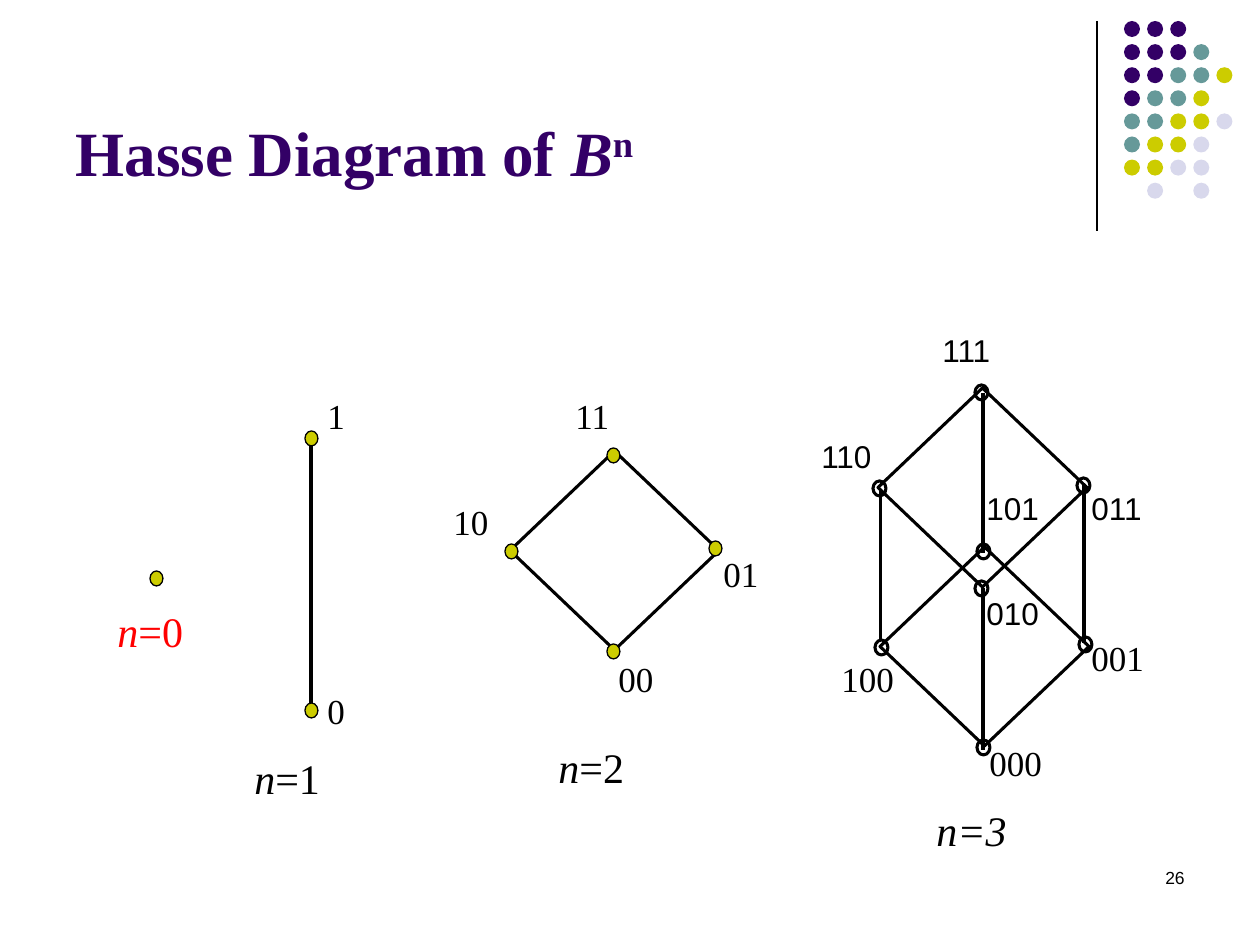
from lxml.etree import SubElement
from pptx import Presentation
from pptx.dml.color import RGBColor
from pptx.enum.shapes import MSO_CONNECTOR, MSO_SHAPE
from pptx.enum.text import MSO_ANCHOR, MSO_AUTO_SIZE, PP_ALIGN
from pptx.oxml.ns import qn
from pptx.util import Emu, Pt

BLACK = RGBColor(0x00, 0x00, 0x00)
RED = RGBColor(0xFF, 0x00, 0x00)
PURPLE = RGBColor(0x33, 0x00, 0x66)
TEAL = RGBColor(0x66, 0x99, 0x99)
YELLOW = RGBColor(0xCC, 0xCC, 0x00)
LAVENDER = RGBColor(0xD8, 0xD8, 0xEC)

SERIF = "Times New Roman"
THIN, THICK = 0.75, 1.75
NODE_SIZE = (13, 15)
DIAMOND_SIZE = (209, 199)
DIAMOND_NODES = [(97, -3), (-5, 93), (199, 90), (97, 193)]

DOT_ROWS = ["PPP", "PPPT", "PPTTY", "PTTY", "TTYYL", "TYYL", "YYLL", " L L"]
DOT_COLORS = {"P": PURPLE, "T": TEAL, "Y": YELLOW, "L": LAVENDER}
DOT_PITCH, DOT_SIZE = 23.1, 16

EDGES = [
    (311, 438, 311, 713),
    (983, 588, 983, 750),
    (1084, 485, 1084, 643),
    (881, 491, 881, 641),
    (983, 393, 983, 553),
]
SINGLE_NODES = [(305, 431), (150, 571), (305, 703)]

SERIF_LABELS = [
    ("001", 1079, 630, 87), ("100", 829, 651, 84), ("000", 977, 735, 95),
    ("11", 563, 388, 227), ("10", 441, 494, 227), ("01", 711, 546, 87),
    ("00", 606, 651, 87), ("0", 315, 683, 84), ("1", 315, 388, 84),
]
SANS_LABELS = [
    ("111", 930, 325, 227), ("110", 809, 431, 227), ("011", 1079, 483, 87),
    ("101", 974, 483, 105), ("010", 974, 588, 87),
]
# Italic part, upright part, left, top, width, colour
CAPTIONS = [
    ("n", "=0", 105, 599, 116, RED),
    ("n", "=1", 242, 746, 252, BLACK),
    ("n", "=2", 546, 735, 147, BLACK),
    ("n=3", "", 924, 798, 210, BLACK),
]


def px(value):
    return Emu(round(value * 914400 / 126))


def add_line(slide, ends, width):
    line = slide.shapes.add_connector(MSO_CONNECTOR.STRAIGHT, *map(px, ends))
    line.line.color.rgb = BLACK
    line.line.width = Pt(width)
    SubElement(line._element.spPr, qn("a:effectLst"))


def add_outline(slide, kind, left, top, size, fill=None, width=None):
    """Add a preset shape; no fill or no line when that value is None."""
    shape = slide.shapes.add_shape(kind, *map(px, (left, top, *size)))
    shape.shadow.inherit = False
    if fill is None:
        shape.fill.background()
    else:
        shape.fill.solid()
        shape.fill.fore_color.rgb = fill
    if width is None:
        shape.line.fill.background()
    else:
        shape.line.color.rgb = BLACK
        shape.line.width = Pt(width)


def add_run(paragraph, text, color, **formats):
    run = paragraph.add_run()
    run.text = text
    run.font.color.rgb = color
    for name, value in formats.items():
        setattr(run.font, name, value)
    return run


def add_text_box(slide, left, top, width, height):
    """Add an empty wrapping text box and return its first paragraph."""
    frame = slide.shapes.add_textbox(*map(px, (left, top, width, height))).text_frame
    frame.word_wrap = True
    return frame.paragraphs[0]


def add_labels(slide, labels, height, **formats):
    for text, left, top, width in labels:
        paragraph = add_text_box(slide, left, top, width, height)
        add_run(paragraph, text, BLACK, **formats)


def add_captions(slide):
    formats = {"size": Pt(24), "name": SERIF}
    for italic, upright, left, top, width, color in CAPTIONS:
        paragraph = add_text_box(slide, left, top, width, 63)
        add_run(paragraph, italic, color, italic=True, **formats)
        if upright:
            add_run(paragraph, upright, color, **formats)


def add_dot_pattern(slide):
    for row, letters in enumerate(DOT_ROWS):
        for column, letter in enumerate(letters):
            if letter in DOT_COLORS:
                add_outline(slide, MSO_SHAPE.OVAL, 1124 + column * DOT_PITCH,
                            21 + row * DOT_PITCH, (DOT_SIZE, DOT_SIZE),
                            fill=DOT_COLORS[letter])


def add_diamond(slide, left, top, node_fill=None, node_line=THICK):
    """Add a diamond with a node on each of its corners."""
    add_outline(slide, MSO_SHAPE.DIAMOND, left, top, DIAMOND_SIZE, width=THICK)
    for x, y in DIAMOND_NODES:
        add_outline(slide, MSO_SHAPE.OVAL, left + x, top + y, NODE_SIZE,
                    node_fill, node_line)


def format_title(slide):
    title = slide.shapes.title
    title.left, title.top, title.width, title.height = map(px, (63, 16, 1040, 179))
    frame = title.text_frame
    frame.auto_size = MSO_AUTO_SIZE.NONE
    frame.vertical_anchor = MSO_ANCHOR.BOTTOM
    paragraph = frame.paragraphs[0]
    paragraph.alignment = PP_ALIGN.LEFT
    formats = {"size": Pt(36), "name": SERIF, "bold": True}
    add_run(paragraph, "Hasse Diagram of ", PURPLE, **formats)
    add_run(paragraph, "B", PURPLE, italic=True, **formats)
    exponent = add_run(paragraph, "n", PURPLE, **formats)
    exponent.font._element.set("baseline", "30000")


def add_page_number(slide):
    paragraph = add_text_box(slide, 903, 861, 294, 63)
    paragraph.alignment = PP_ALIGN.RIGHT
    add_run(paragraph, "26", BLACK, size=Pt(10), name="Arial")


def main():
    presentation = Presentation()
    presentation.slide_width, presentation.slide_height = px(1260), px(945)
    slide = presentation.slides.add_slide(presentation.slide_layouts[5])
    format_title(slide)
    add_line(slide, (1097, 21, 1097, 231), THIN)
    add_dot_pattern(slide)
    for ends in EDGES:
        add_line(slide, ends, THICK)
    add_diamond(slide, 880, 547)
    add_diamond(slide, 878, 388)
    add_diamond(slide, 510, 451, YELLOW, THIN)
    for left, top in SINGLE_NODES:
        add_outline(slide, MSO_SHAPE.OVAL, left, top, NODE_SIZE, YELLOW, THIN)
    add_labels(slide, SERIF_LABELS, 54, size=Pt(20), name=SERIF)
    add_labels(slide, SANS_LABELS, 50, size=Pt(18), name="Arial")
    add_captions(slide)
    add_page_number(slide)
    presentation.save("out.pptx")


if __name__ == "__main__":
    main()
